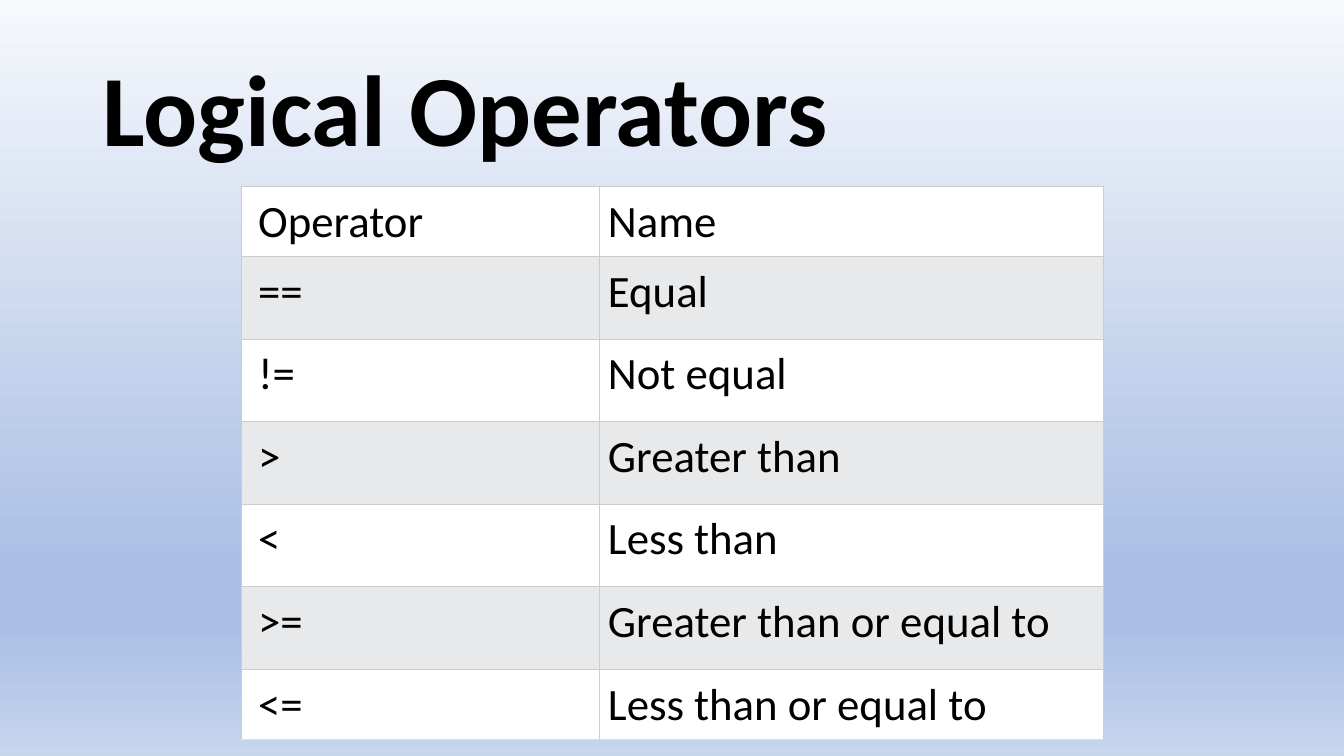
from lxml.etree import SubElement
from pptx import Presentation
from pptx.dml.color import RGBColor
from pptx.enum.text import MSO_ANCHOR
from pptx.oxml.ns import qn
from pptx.util import Inches, Pt

FONT = "Calibri"
BACKGROUND_STOPS = [(0, "F6F8FC"), (74, "ABC0E4"), (83, "ABC0E4"), (100, "C7D5ED")]
OPERATORS = [
    ("Operator", "Name"),
    ("==", "Equal"),
    ("!=", "Not equal"),
    (">", "Greater than"),
    ("<", "Less than"),
    (">=", "Greater than or equal to"),
    ("<=", "Less than or equal to"),
]
COLUMN_WIDTHS = [3.56, 4.99]
OUTER_ROW_HEIGHT, INNER_ROW_HEIGHT = 0.5, 0.82
ROW_FILLS = ["FFFFFF", "E7E9EB"]


def color(hex_string):
    return RGBColor.from_string(hex_string)


def format_text(paragraph, size, bold=False):
    for run in paragraph.runs:
        run.font.name = FONT
        run.font.size = Pt(size)
        run.font.bold = bold
        run.font.color.rgb = color("000000")


def paint_background(slide):
    fill = slide.background.fill
    fill.gradient()
    fill.gradient_angle = 270
    stops = slide.element.find(".//" + qn("a:gsLst"))
    for stop in list(stops):
        stops.remove(stop)
    for percent, hex_string in BACKGROUND_STOPS:
        stop = SubElement(stops, qn("a:gs"), pos=str(percent * 1000))
        SubElement(stop, qn("a:srgbClr"), val=hex_string)


def add_title(slide, text, left, top, width, height):
    box = slide.shapes.add_textbox(Inches(left), Inches(top), Inches(width), Inches(height))
    frame = box.text_frame
    frame.word_wrap = True
    frame.vertical_anchor = MSO_ANCHOR.MIDDLE
    frame.text = text
    frame.paragraphs[0].line_spacing = 0.9
    format_text(frame.paragraphs[0], 72, bold=True)


def add_borders(cell, bottom):
    """Border lines come before the fill in the cell properties."""
    properties = cell._tc.get_or_add_tcPr()
    sides = [("L", "CCCCCC"), ("R", "CCCCCC"), ("T", "CCCCCC"), ("B", bottom)]
    for position, (side, hex_string) in enumerate(sides):
        line = SubElement(properties, qn("a:ln" + side), w=str(Pt(0.75)))
        fill = SubElement(line, qn("a:solidFill"))
        SubElement(fill, qn("a:srgbClr"), val=hex_string)
        properties.insert(position, line)


def add_operator_table(slide, left, top, width, height):
    last_row = len(OPERATORS) - 1
    table = slide.shapes.add_table(
        len(OPERATORS), len(COLUMN_WIDTHS),
        Inches(left), Inches(top), Inches(width), Inches(height),
    ).table
    table.first_row = table.horz_banding = False
    for column, column_width in zip(table.columns, COLUMN_WIDTHS):
        column.width = Inches(column_width)
    for row_index, labels in enumerate(OPERATORS):
        is_outer = row_index in (0, last_row)
        table.rows[row_index].height = Inches(OUTER_ROW_HEIGHT if is_outer else INNER_ROW_HEIGHT)
        for column_index, label in enumerate(labels):
            cell = table.cell(row_index, column_index)
            cell.text = label
            format_text(cell.text_frame.paragraphs[0], 32)
            cell.margin_left = Inches(0.17 if column_index == 0 else 0.08)
            cell.margin_top = cell.margin_right = cell.margin_bottom = Inches(0.08)
            cell.fill.solid()
            cell.fill.fore_color.rgb = color(ROW_FILLS[row_index % 2])
            add_borders(cell, "DDDDDD" if row_index == last_row else "CCCCCC")


def main():
    presentation = Presentation()
    presentation.slide_width = Inches(13.33)
    presentation.slide_height = Inches(7.5)
    slide = presentation.slides.add_slide(presentation.slide_layouts[6])
    paint_background(slide)
    add_title(slide, "Logical Operators", 0.92, 0.4, 11.5, 1.45)
    add_operator_table(slide, 2.39, 1.85, 8.55, 5.48)
    presentation.save("out.pptx")


if __name__ == "__main__":
    main()
